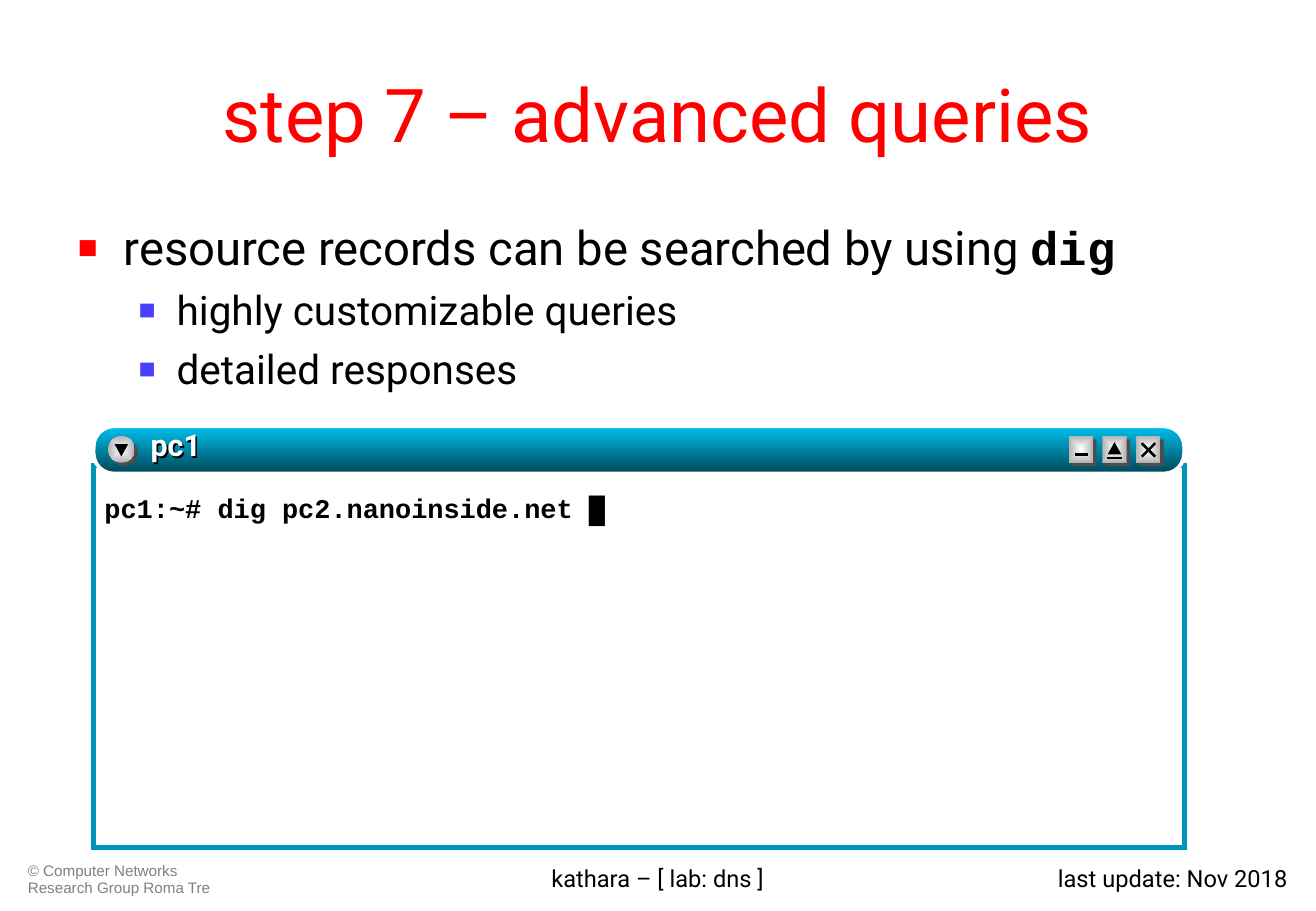
from lxml import etree
from pptx import Presentation
from pptx.dml.color import RGBColor
from pptx.enum.shapes import MSO_CONNECTOR, MSO_SHAPE
from pptx.enum.text import MSO_ANCHOR, MSO_AUTO_SIZE, PP_ALIGN
from pptx.oxml.ns import qn
from pptx.util import Pt

LEFT, CENTER, RIGHT = PP_ALIGN.LEFT, PP_ALIGN.CENTER, PP_ALIGN.RIGHT
MIDDLE, TOP = MSO_ANCHOR.MIDDLE, MSO_ANCHOR.TOP
RECTANGLE, ROUNDED = MSO_SHAPE.RECTANGLE, MSO_SHAPE.ROUNDED_RECTANGLE
OVAL, TRIANGLE = MSO_SHAPE.OVAL, MSO_SHAPE.ISOSCELES_TRIANGLE
STRAIGHT = MSO_CONNECTOR.STRAIGHT
NO_FIT = MSO_AUTO_SIZE.NONE

COLORS = {
    "black": "000000", "white": "FFFFFF", "red": "FF0000", "violet": "483FFF",
    "gray": "808080", "frame": "0095B8", "bar_light": "00C1EE",
    "bar_dark": "004656", "shade": "4D4D4D", "silver": "B2B2B2",
}
SANS, MONO = "Roboto", "Courier New"
BULLETS = [
    {"color": "red", "size": 28, "margin": 27, "indent": -27, "before": 7},
    {"color": "violet", "size": 24, "margin": 58.5, "indent": -22.5, "before": 6},
]


def rgb(name):
    """Return the named colour."""
    return RGBColor.from_string(COLORS[name])


def apply(target, values):
    """Set each named attribute on the target."""
    for name, value in values.items():
        setattr(target, name, value)


def add_span(para, text, size, font=SANS, color="black", bold=False):
    """Add a formatted run to a paragraph."""
    span = para.add_run()
    span.text = text
    apply(span.font, {"name": font, "size": Pt(size), "bold": bold})
    span.font.color.rgb = rgb(color)


def place(shape, box):
    """Move a shape to a box given in points."""
    apply(shape, dict(zip(("left", "top", "width", "height"), map(Pt, box))))


def add_text(page, box, text, size, inset=(7.2, 3.6), align=LEFT, spacing=1.0, **style):
    """Add and return a one-paragraph text box."""
    shape = page.shapes.add_textbox(*map(Pt, box))
    frame = shape.text_frame
    across, down = map(Pt, inset)
    apply(frame, {"word_wrap": True, "margin_left": across, "margin_right": across,
                  "margin_top": down, "margin_bottom": down})
    para = frame.paragraphs[0]
    apply(para, {"alignment": align, "line_spacing": spacing})
    add_span(para, text, size, **style)
    return shape


def add_shape(parent, kind, box, fill=None, line=None, width=0):
    """Add a flat shape with an optional fill and sharp outline."""
    shape = parent.shapes.add_shape(kind, *map(Pt, box))
    shape.shadow.inherit = False
    if fill:
        shape.fill.solid()
        shape.fill.fore_color.rgb = rgb(fill)
    if line:
        shape.line.color.rgb = rgb(line)
        shape.line.width = Pt(width)
        outline = shape._element.spPr.find(qn("a:ln"))
        etree.SubElement(outline, qn("a:miter"), {"lim": "800000"})
    else:
        shape.line.fill.background()
    return shape


def set_gradient(shape, start, end, from_center=False):
    """Fill a shape with a downward or a centred gradient."""
    shape.fill.gradient()
    for stop, color in zip(shape.fill.gradient_stops, (start, end)):
        stop.color.rgb = rgb(color)
    shape.fill.gradient_angle = 270
    if from_center:
        gradient = shape._element.spPr.find(qn("a:gradFill"))
        gradient.remove(gradient.find(qn("a:lin")))
        route = etree.SubElement(gradient, qn("a:path"), {"path": "rect"})
        etree.SubElement(route, qn("a:fillToRect"), dict.fromkeys("ltrb", "50000"))


def add_stroke(parent, left, top, ends):
    """Draw a black icon stroke relative to a corner."""
    x1, y1, x2, y2 = ends
    stroke = parent.shapes.add_connector(
        STRAIGHT, Pt(left + x1), Pt(top + y1), Pt(left + x2), Pt(top + y2))
    stroke.line.color.rgb = rgb("black")
    stroke.line.width = Pt(1.5)
    etree.SubElement(stroke._element.spPr, qn("a:effectLst"))


def add_button(page, kind, box, strokes=(), arrow=None, turn=0):
    """Draw a raised window button with its icon."""
    left, top, width, height = box
    group = page.shapes.add_group_shape()
    add_shape(group, kind, (left + 2, top + 2, width, height), "shade")
    face = add_shape(group, kind, box)
    set_gradient(face, "white", "silver", from_center=True)
    for ends in strokes:
        add_stroke(group, left, top, ends)
    if arrow:
        across, down = arrow
        icon = add_shape(group, TRIANGLE, (left + across, top + down, 8, 7.2), "black")
        icon.rotation = turn


def add_title(page, box):
    """Fill the title placeholder."""
    title = page.shapes.title
    place(title, box)
    apply(title.text_frame, {"vertical_anchor": MIDDLE, "auto_size": NO_FIT})
    para = title.text_frame.paragraphs[0]
    para.alignment = CENTER
    add_span(para, "step 7 – advanced queries", 44, color="red")


def add_bullets(page, box):
    """Fill the body placeholder with the bulleted list."""
    body = page.placeholders[1]
    place(body, box)
    frame = body.text_frame
    apply(frame, {"vertical_anchor": TOP, "auto_size": NO_FIT})
    items = [
        (0, [("resource records can be searched by using ", {}),
             ("dig", {"font": MONO, "bold": True})]),
        (1, [("highly customizable queries", {})]),
        (1, [("detailed responses", {})]),
    ]
    for index, (level, spans) in enumerate(items):
        look = BULLETS[level]
        para = frame.add_paragraph() if index else frame.paragraphs[0]
        props = para._p.get_or_add_pPr()
        props.set("marL", str(Pt(look["margin"])))
        props.set("indent", str(Pt(look["indent"])))
        color = etree.SubElement(props, qn("a:buClr"))
        etree.SubElement(color, qn("a:srgbClr"), {"val": COLORS[look["color"]]})
        etree.SubElement(props, qn("a:buSzPct"), {"val": "70000"})
        etree.SubElement(props, qn("a:buFont"), {"typeface": "Arial"})
        etree.SubElement(props, qn("a:buChar"), {"char": "■"})
        apply(para, {"level": level, "alignment": LEFT,
                     "space_before": Pt(look["before"] if index else 0)})
        for text, style in spans:
            add_span(para, text, look["size"], **style)


def add_terminal(page, box):
    """Draw the terminal window with its title bar and command."""
    left, top, width, height = box
    bar_height, pane_offset = 28, 23
    add_shape(page, RECTANGLE, (left, top + pane_offset, width, height - pane_offset),
              "white", "frame", 3)
    add_text(page, (left + 0.7, top + 36, width - 0.7, height - 36),
             "pc1:~# dig pc2.nanoinside.net █", 16, (5.76, 2.88), font=MONO, bold=True)
    bar = add_shape(page, ROUNDED, (left, top, width, bar_height), line="white", width=2.25)
    bar.adjustments[0] = 0.43
    set_gradient(bar, "bar_light", "bar_dark")

    button_top = top + 5.75
    add_button(page, OVAL, (left + 8.6, button_top, 15.8, 15.8), arrow=(3.8, 4.8), turn=180)
    icons = [
        {"strokes": [(3.6, 10.8, 11.5, 10.8)]},
        {"strokes": [(3, 13, 11.4, 13)], "arrow": (3.2, 3.6)},
        {"strokes": [(3.4, 4.2, 11.4, 12.2), (3.4, 12.2, 11.4, 4.2)]},
    ]
    for index, icon in enumerate(icons):
        button_left = left + width - 68.4 + index * 19.9
        add_button(page, RECTANGLE, (button_left, button_top, 14.4, 15.8), **icon)

    name = add_text(page, (left + 33.8, top, 187, bar_height), "pc1", 18, (0, 0),
                    color="white", bold=True)
    effects = etree.SubElement(name._element.spPr, qn("a:effectLst"))
    shadow = etree.SubElement(effects, qn("a:outerShdw"), {"dist": "17961", "dir": "2700000"})
    etree.SubElement(shadow, qn("a:srgbClr"), {"val": COLORS["black"]})


def add_footer(page, box):
    """Place the three footer texts along the bottom."""
    left, top, width, height = box
    add_text(page, (left, top, 135.4, height), "© Computer Networks Research Group Roma Tre",
             9, spacing=0.9, font="Arial", color="gray")
    add_text(page, (left + 190, top, 381, height), "kathara – [ lab: dns ]", 14, align=CENTER)
    add_text(page, (left + width - 178, top, 178, height), "last update: Nov 2018",
             14, align=RIGHT)


def main():
    """Build the slide and save the deck."""
    deck = Presentation()
    apply(deck, {"slide_width": Pt(780.13), "slide_height": Pt(540)})
    page = deck.slides.add_slide(deck.slide_layouts[1])
    add_footer(page, (9.4, 508.3, 761, 26))
    add_title(page, (39, 21.6, 702, 90))
    add_bullets(page, (39, 126, 702, 126.7))
    add_terminal(page, (55.5, 252.75, 646.5, 249.8))
    deck.save("out.pptx")


if __name__ == "__main__":
    main()
